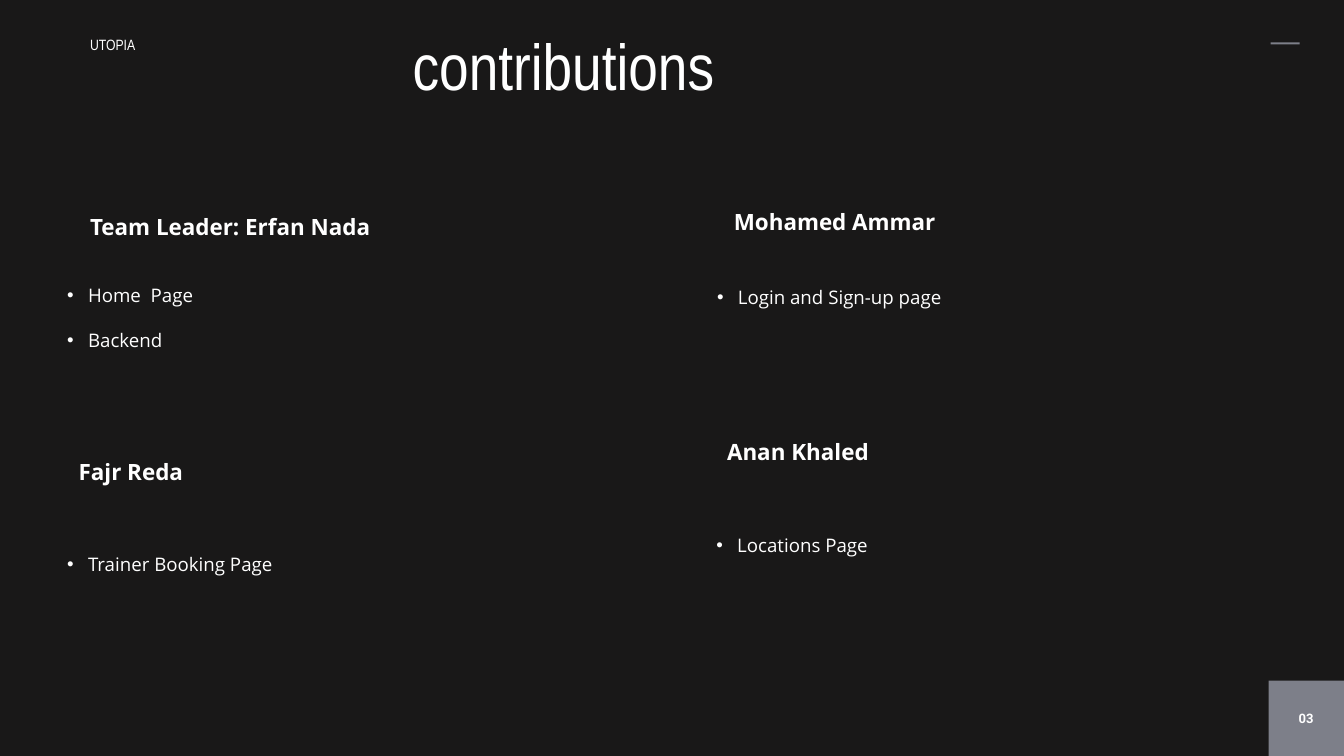
import pptx
import pptx.util
import pptx.dml.color
import pptx.enum.shapes
import pptx.enum.text
import pptx.oxml.ns
from lxml import etree

Inches = pptx.util.Inches
Pt = pptx.util.Pt
RGBColor = pptx.dml.color.RGBColor
PP_ALIGN = pptx.enum.text.PP_ALIGN

BACKGROUND = RGBColor(0x19, 0x18, 0x18)
GRAY = RGBColor(0x7D, 0x7F, 0x89)
WHITE = RGBColor(0xFF, 0xFF, 0xFF)


def place(shape, left, top, width, height):
    """Move a text shape and clear its insets."""
    shape.left, shape.top = Inches(left), Inches(top)
    shape.width, shape.height = Inches(width), Inches(height)
    frame = shape.text_frame
    frame.margin_left = frame.margin_top = frame.margin_right = frame.margin_bottom = 0
    frame.word_wrap = True
    frame.auto_size = pptx.enum.text.MSO_AUTO_SIZE.NONE
    frame.vertical_anchor = pptx.enum.text.MSO_ANCHOR.TOP
    return frame


def write(paragraph, text, font, size, spacing, bold=False, align=PP_ALIGN.LEFT):
    """Add one formatted run to a paragraph."""
    paragraph.alignment = align
    paragraph.line_spacing = spacing
    paragraph.space_before = Pt(0)
    run = paragraph.add_run()
    run.text = text
    run.font.name = font
    run.font.size = Pt(size)
    run.font.bold = bold
    run.font.color.rgb = WHITE


presentation = pptx.Presentation()
presentation.slide_width = Inches(20)
presentation.slide_height = Inches(11.25)
comparison_layout = presentation.slide_layouts[4]
slide = presentation.slides.add_slide(comparison_layout)
slide.background.fill.solid()
slide.background.fill.fore_color.rgb = BACKGROUND

# Gray dash at the top and page number square at the bottom
for left, top, width, height in [(18.91, 0.63, 0.43, 0.03), (18.88, 10.13, 1.12, 1.12)]:
    block = slide.shapes.add_shape(
        pptx.enum.shapes.MSO_SHAPE.RECTANGLE,
        Inches(left), Inches(top), Inches(width), Inches(height))
    block.shadow.inherit = False
    block.fill.solid()
    block.fill.fore_color.rgb = GRAY
    block.line.fill.background()

# Title
title_frame = place(slide.shapes.title, 6.14, 0.61, 6.32, 0.94)
write(title_frame.paragraphs[0], "contributions", "Arial Narrow", 69.5, Pt(66.7))

# Project name and page number
project_frame = place(slide.shapes.add_textbox(0, 0, 0, 0), 1.34, 0.49, 1.34, 0.33)
write(project_frame.paragraphs[0], "UTOPIA", "Arial Narrow", 16, Pt(22.4))
number_frame = place(slide.shapes.add_textbox(0, 0, 0, 0), 18.99, 10.54, 0.89, 0.26)
write(number_frame.paragraphs[0], "03", "Roboto", 14, Pt(19.6), True, PP_ALIGN.CENTER)

# Team members: name, name position, tasks, task list position
members = [
    ("Team Leader: Erfan Nada", (1.34, 3.3), ["Home  Page", "Backend"], (1, 3.89)),
    ("Mohamed Ammar", (10.92, 3.23), ["Login and Sign-up page"], (10.67, 3.92)),
    ("Fajr Reda", (1.17, 6.94), ["Trainer Booking Page"], (1, 7.9)),
    ("Anan Khaled", (10.82, 6.65), ["Locations Page"], (10.66, 7.61)),
]
bodies = [shape for shape in slide.placeholders if shape.placeholder_format.idx in range(1, 5)]
for body, (name, name_position, tasks, list_position) in zip(bodies, members):
    name_frame = place(slide.shapes.add_textbox(0, 0, 0, 0), *name_position, 6, 0.3)
    write(name_frame.paragraphs[0], name, "Open Sans", 24, Pt(19.6), True)

    list_frame = place(body, *list_position, 7.04, 0.67 * len(tasks))
    for index, task in enumerate(tasks):
        paragraph = list_frame.add_paragraph() if index else list_frame.paragraphs[0]
        properties = paragraph._p.get_or_add_pPr()
        properties.set("marL", str(Inches(0.31)))
        properties.set("indent", str(-Inches(0.31)))
        etree.SubElement(properties, pptx.oxml.ns.qn("a:buFont"), typeface="Arial")
        etree.SubElement(properties, pptx.oxml.ns.qn("a:buChar"), char="•")
        write(paragraph, task, "Open Sans", 20, 2.0, align=PP_ALIGN.JUSTIFY)

presentation.save("out.pptx")
